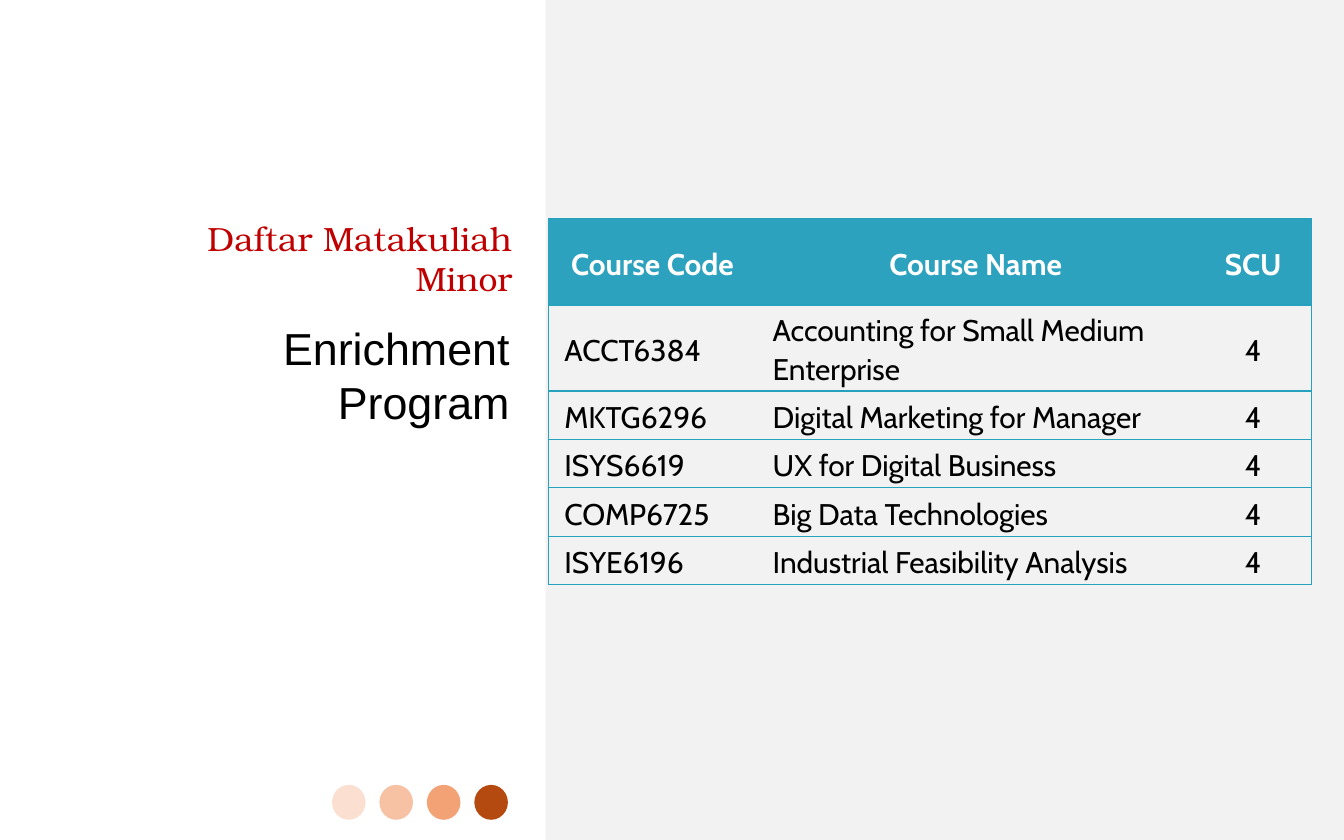
from dataclasses import dataclass

from lxml import etree
from pptx import Presentation
from pptx import util as u
from pptx.dml.color import RGBColor
from pptx.enum import shapes, text
from pptx.oxml import ns


@dataclass(frozen=True)
class Theme:
    panel: str = "F2F2F2"
    heading: str = "C00000"
    ink: str = "000000"
    header_ink: str = "FFFFFF"
    teal: str = "28A1BE"
    header_fill: str = "2DA2BF"
    dots: tuple = ("FBE0D1", "F7C1A4", "F3A276", "B54A10")
    heading_font: str = "TeX Gyre Bonum"
    body_font: str = "Arial"
    table_font: str = "Cabin"
    heading_size: int = 18
    body_size: int = 24
    table_size: int = 16
    border: float = 0.75


def write(frame, words, *, font, size, color, bold=False, align=text.PP_ALIGN.LEFT,
          before=0, after=0, spacing=1.0):
    paragraph = frame.paragraphs[0]
    paragraph.alignment = align
    paragraph.space_before, paragraph.space_after = u.Pt(before), u.Pt(after)
    paragraph.line_spacing = spacing
    run = paragraph.add_run()
    run.text = words
    run.font.name, run.font.size, run.font.bold = font, u.Pt(size), bold
    run.font.color.rgb = RGBColor.from_string(color)


class CourseSlide:
    def __init__(self, slide, theme):
        self.slide, self.theme = slide, theme

    def shape(self, kind, box, color):
        figure = self.slide.shapes.add_shape(kind, *map(u.Inches, box))
        figure.shadow.inherit = False
        figure.fill.solid()
        figure.fill.fore_color.rgb = RGBColor.from_string(color)
        figure.line.fill.background()

    def label(self, words, box, anchor, **style):
        frame = self.slide.shapes.add_textbox(*map(u.Inches, box)).text_frame
        frame.word_wrap = True
        frame.vertical_anchor = anchor
        write(frame, words, align=text.PP_ALIGN.RIGHT, **style)

    def border(self, cell, edges):
        properties = cell._tc.get_or_add_tcPr()
        for side in "LRTB":
            line = etree.SubElement(properties, ns.qn(f"a:ln{side}"))
            if side in edges:
                line.set("w", str(u.Pt(self.theme.border)))
                paint = etree.SubElement(line, ns.qn("a:solidFill"))
                etree.SubElement(paint, ns.qn("a:srgbClr"), val=self.theme.teal)
            else:
                line.set("w", "0")
                etree.SubElement(line, ns.qn("a:noFill"))

    def table(self, rows, box, widths, heights):
        theme = self.theme
        grid = self.slide.shapes.add_table(len(rows), len(widths), *map(u.Inches, box)).table
        grid.first_row = grid.horz_banding = False
        for column, width in zip(grid.columns, widths):
            column.width = u.Inches(width)
        for row, height in zip(grid.rows, heights):
            row.height = u.Inches(height)
        last = len(widths) - 1
        for r, record in enumerate(rows):
            header = r == 0
            for c, words in enumerate(record):
                cell = grid.cell(r, c)
                cell.vertical_anchor = text.MSO_ANCHOR.MIDDLE
                cell.margin_left = cell.margin_right = u.Inches(0.12)
                cell.margin_top, cell.margin_bottom = u.Inches(0.02), 0
                self.border(cell, "TB" + "L" * (c == 0) + "R" * (c == last))
                if header:
                    cell.fill.solid()
                    cell.fill.fore_color.rgb = RGBColor.from_string(theme.header_fill)
                else:
                    cell.fill.background()
                centred = header or c == last
                write(cell.text_frame, words, font=theme.table_font, size=theme.table_size,
                      color=theme.header_ink if header else theme.ink, bold=header,
                      align=text.PP_ALIGN.CENTER if centred else text.PP_ALIGN.LEFT,
                      before=0 if header else 6, after=8 if header else 6, spacing=1.07)


COURSES = [
    ("Course Code", "Course Name", "SCU"),
    ("ACCT6384", "Accounting for Small Medium Enterprise", "4"),
    ("MKTG6296", "Digital Marketing for Manager", "4"),
    ("ISYS6619", "UX for Digital Business", "4"),
    ("COMP6725", "Big Data Technologies", "4"),
    ("ISYE6196", "Industrial Feasibility Analysis", "4"),
]


def main():
    deck = Presentation()
    deck.slide_width, deck.slide_height = u.Inches(10), u.Inches(6.25)
    theme = Theme()
    page = CourseSlide(deck.slides.add_slide(deck.slide_layouts[6]), theme)

    page.shape(shapes.MSO_SHAPE.RECTANGLE, (4.06, 0, 5.94, 6.25), theme.panel)
    for i, color in enumerate(theme.dots):
        page.shape(shapes.MSO_SHAPE.OVAL, (2.47 + i * 0.353, 5.84, 0.25, 0.26), color)

    page.label("Daftar Matakuliah Minor", (0.94, 1.41, 2.97, 0.86), text.MSO_ANCHOR.BOTTOM,
               font=theme.heading_font, size=theme.heading_size, color=theme.heading)
    page.label("Enrichment Program", (0.92, 2.34, 2.97, 3.35), text.MSO_ANCHOR.TOP,
               font=theme.body_font, size=theme.body_size, color=theme.ink, before=4.8)
    page.table(COURSES, (4.08, 1.63, 5.68, 2.72), (1.55, 3.26, 0.87),
               [0.64] * 2 + [0.36] * 4)
    deck.save("out.pptx")


if __name__ == "__main__":
    main()
